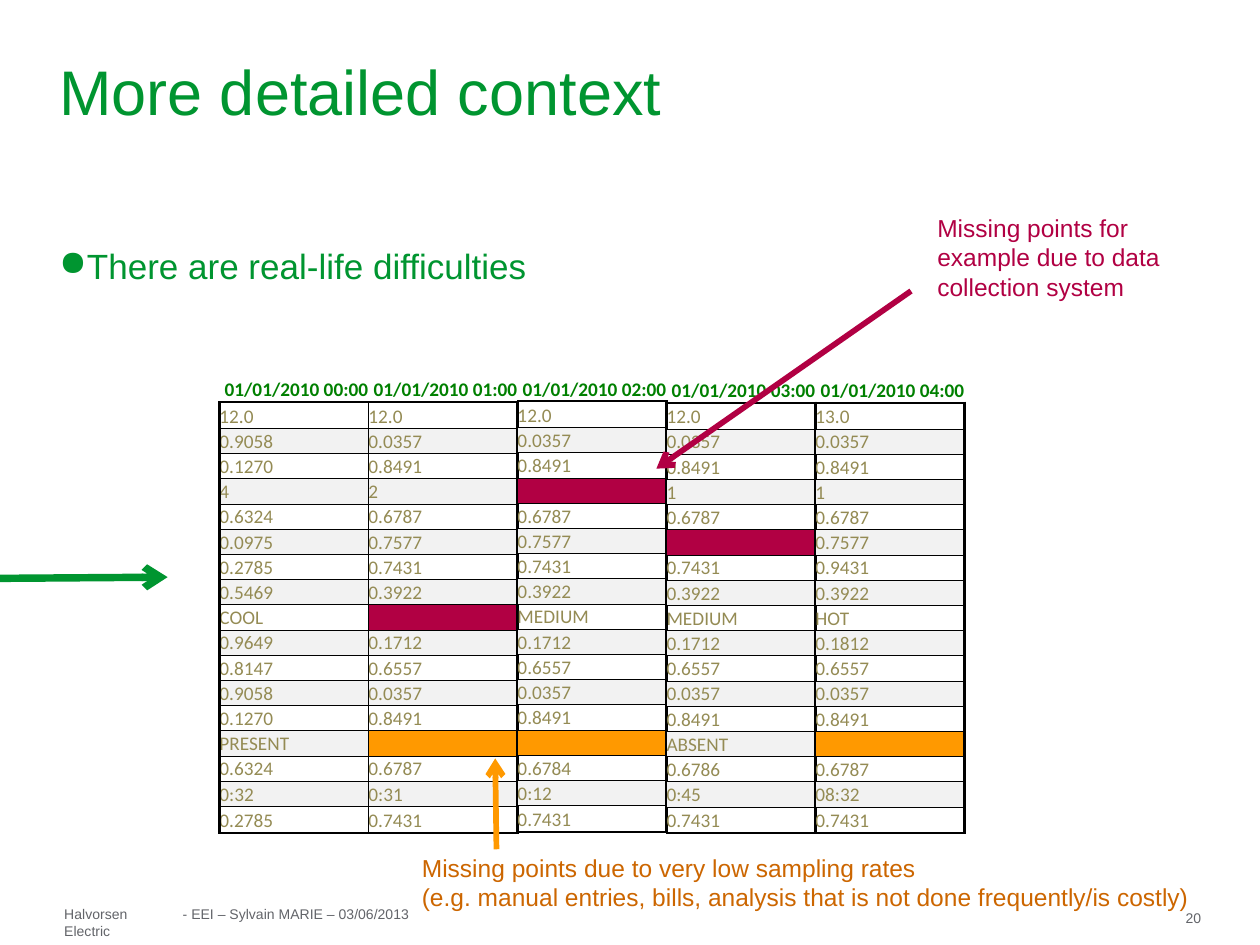
from lxml import etree
from pptx import Presentation
from pptx.dml.color import RGBColor
from pptx.enum.shapes import MSO_CONNECTOR
from pptx.enum.text import MSO_ANCHOR, PP_ALIGN
from pptx.oxml.ns import qn
from pptx.util import Pt

STRAIGHT = MSO_CONNECTOR.STRAIGHT
TOP, MIDDLE, BOTTOM = MSO_ANCHOR.TOP, MSO_ANCHOR.MIDDLE, MSO_ANCHOR.BOTTOM
LEFT, RIGHT = PP_ALIGN.LEFT, PP_ALIGN.RIGHT

COLORS = {
    "green": "009530", "header": "008000", "value": "948B54", "band": "F2F2F2",
    "lost": "B10043", "sparse": "FF9900", "note": "CC6600",
    "footer": "626469", "border": "000000",
}
THIN, THICK = 0.5, 1.5
LOST, SPARSE = "lost", "sparse"  # the two kinds of missing point

TIMES = [f"01/01/2010 0{hour}:00" for hour in range(5)]
READINGS = [
    ["12.0", "12.0", "12.0", "12.0", "13.0"],
    ["0.9058", "0.0357", "0.0357", "0.0357", "0.0357"],
    ["0.1270", "0.8491", "0.8491", "0.8491", "0.8491"],
    ["4", "2", LOST, "1", "1"],
    ["0.6324", "0.6787", "0.6787", "0.6787", "0.6787"],
    ["0.0975", "0.7577", "0.7577", LOST, "0.7577"],
    ["0.2785", "0.7431", "0.7431", "0.7431", "0.9431"],
    ["0.5469", "0.3922", "0.3922", "0.3922", "0.3922"],
    ["COOL", LOST, "MEDIUM", "MEDIUM", "HOT"],
    ["0.9649", "0.1712", "0.1712", "0.1712", "0.1812"],
    ["0.8147", "0.6557", "0.6557", "0.6557", "0.6557"],
    ["0.9058", "0.0357", "0.0357", "0.0357", "0.0357"],
    ["0.1270", "0.8491", "0.8491", "0.8491", "0.8491"],
    ["PRESENT", SPARSE, SPARSE, "ABSENT", SPARSE],
    ["0.6324", "0.6787", "0.6784", "0.6786", "0.6787"],
    ["0:32", "0:31", "0:12", "0:45", "08:32"],
    ["0.2785", "0.7431", "0.7431", "0.7431", "0.7431"],
]


class Deck:
    """Holds the style and the current slide."""

    font, table_font, table_size = "Arial", "Calibri", 11

    def __init__(self, width, height):
        self.prs = Presentation()
        self.prs.slide_width, self.prs.slide_height = Pt(width), Pt(height)
        self.s = self.prs.slides.add_slide(self.prs.slide_layouts[6])

    def color(self, name):
        return RGBColor.from_string(COLORS[name])

    def style(self, p, size, color, font, bold=False):
        for r in p.runs:
            r.font.size, r.font.name, r.font.bold = Pt(size), font, bold
            r.font.color.rgb = self.color(color)

    def text(self, text, x, y, w, h, size, color, insets=(0, 0), anchor=TOP):
        sp = self.s.shapes.add_textbox(Pt(x), Pt(y), Pt(w), Pt(h))
        tf = sp.text_frame
        tf.word_wrap, tf.vertical_anchor = True, anchor
        tf.margin_left = tf.margin_right = Pt(insets[0])
        tf.margin_top = tf.margin_bottom = Pt(insets[1])
        tf.text = text
        for p in tf.paragraphs:
            self.style(p, size, color, self.font)
        return tf

    def bullet(self, p, indent, char):
        pPr = p._p.get_or_add_pPr()
        pPr.set("marL", str(Pt(indent)))
        pPr.set("indent", str(-Pt(indent)))
        etree.SubElement(pPr, qn("a:buChar")).set("char", char)

    def arrow(self, x1, y1, x2, y2, color, width):
        line = self.s.shapes.add_connector(STRAIGHT, Pt(x1), Pt(y1), Pt(x2), Pt(y2))
        line.line.color.rgb, line.line.width = self.color(color), Pt(width)
        ln = line.line._get_or_add_ln()
        etree.SubElement(ln, qn("a:tailEnd")).set("type", "arrow")
        etree.SubElement(line._element.spPr, qn("a:effectLst"))

    def borders(self, cell, left, right, top, bottom):
        tcPr = cell._tc.get_or_add_tcPr()
        for side, width in zip("LRTB", (left, right, top, bottom)):
            ln = etree.SubElement(tcPr, qn(f"a:ln{side}"))
            if not width:
                etree.SubElement(ln, qn("a:noFill"))
                continue
            ln.set("w", str(Pt(width)))
            fill = etree.SubElement(ln, qn("a:solidFill"))
            etree.SubElement(fill, qn("a:srgbClr")).set("val", COLORS["border"])

    def cell(self, cell, text, fill, color, align=LEFT, bold=False):
        cell.margin_left = cell.margin_right = 0
        cell.margin_top = cell.margin_bottom = 0
        cell.vertical_anchor = BOTTOM
        if fill:
            cell.fill.solid()
            cell.fill.fore_color.rgb = self.color(fill)
        else:
            cell.fill.background()
        p = cell.text_frame.paragraphs[0]
        p.text, p.alignment = text, align
        self.style(p, self.table_size, color, self.table_font, bold)
        if not text:  # keeps an empty row as low as the others
            p._p.get_or_add_endParaRPr().set("sz", str(self.table_size * 100))

    def column(self, x, y, w, header, values, left, right):
        last = len(values)
        heights = [15, 15] + [14.4] * (last - 2) + [15]
        frame = self.s.shapes.add_table(last + 1, 1, Pt(x), Pt(y), Pt(w), Pt(sum(heights)))
        table = frame.table
        table.columns[0].width = Pt(w)
        for row, height in zip(table.rows, heights):
            row.height = Pt(height)
        self.borders(table.cell(0, 0), 0, 0, 0, THICK)
        self.cell(table.cell(0, 0), header, None, "header", RIGHT, True)
        for i, value in enumerate(values, 1):
            missing = value in (LOST, SPARSE)
            band = "band" if i % 2 == 0 else None
            cell = table.cell(i, 0)
            self.borders(cell, left, right, THICK if i == 1 else THIN,
                         THICK if i == last else THIN)
            self.cell(cell, "" if missing else value, value if missing else band, "value")


def main():
    deck = Deck(720, 540)

    # Footer
    deck.text("Halvorsen Electric", 36.7, 517.7, 62, 9.4, 8, "footer")
    deck.text("- EEI – Sylvain MARIE – 03/06/2013", 104.4, 517.7, 140, 9.4, 8, "footer")
    deck.text("20", 677.5, 519.8, 23, 5.8, 8, "footer")

    # Title and bullet
    deck.text("More detailed context", 33.8, 6.5, 652.3, 90.7, 36, "green", (0, 0.7), MIDDLE)
    tf = deck.text("There are real-life difficulties", 33.8, 139.7, 653, 74.2, 20, "green")
    tf.paragraphs[0].space_before = Pt(4)
    deck.bullet(tf.paragraphs[0], 14.4, "●")

    # One table per time stamp
    tops = [214.8, 214.8, 214.3, 215.1, 215.1]
    for i, (header, values, top) in enumerate(zip(TIMES, zip(*READINGS), tops)):
        left, right = (THIN, THICK) if i else (THICK, THIN)
        deck.column(125.4 + 85.15 * i, top, 85.15, header, values, left, right)

    # Notes on the missing points
    deck.text("Missing points for example due to data collection system",
              528.5, 118.1, 178.6, 58.3, 14, "lost", (7.2, 3.6))
    deck.text("Missing points due to very low sampling rates\n"
              "(e.g. manual entries, bills, analysis that is not done frequently/is costly)",
              234, 483.8, 453.6, 41, 14, "note", (7.2, 3.6))

    # Arrows
    deck.arrow(0, 330.5, 95.8, 329.8, "green", 4.25)
    deck.arrow(520.6, 166.3, 375.1, 267.8, "lost", 3.25)
    deck.arrow(283.7, 485.3, 283, 433.4, "sparse", 3.25)

    deck.prs.save("out.pptx")


if __name__ == "__main__":
    main()
